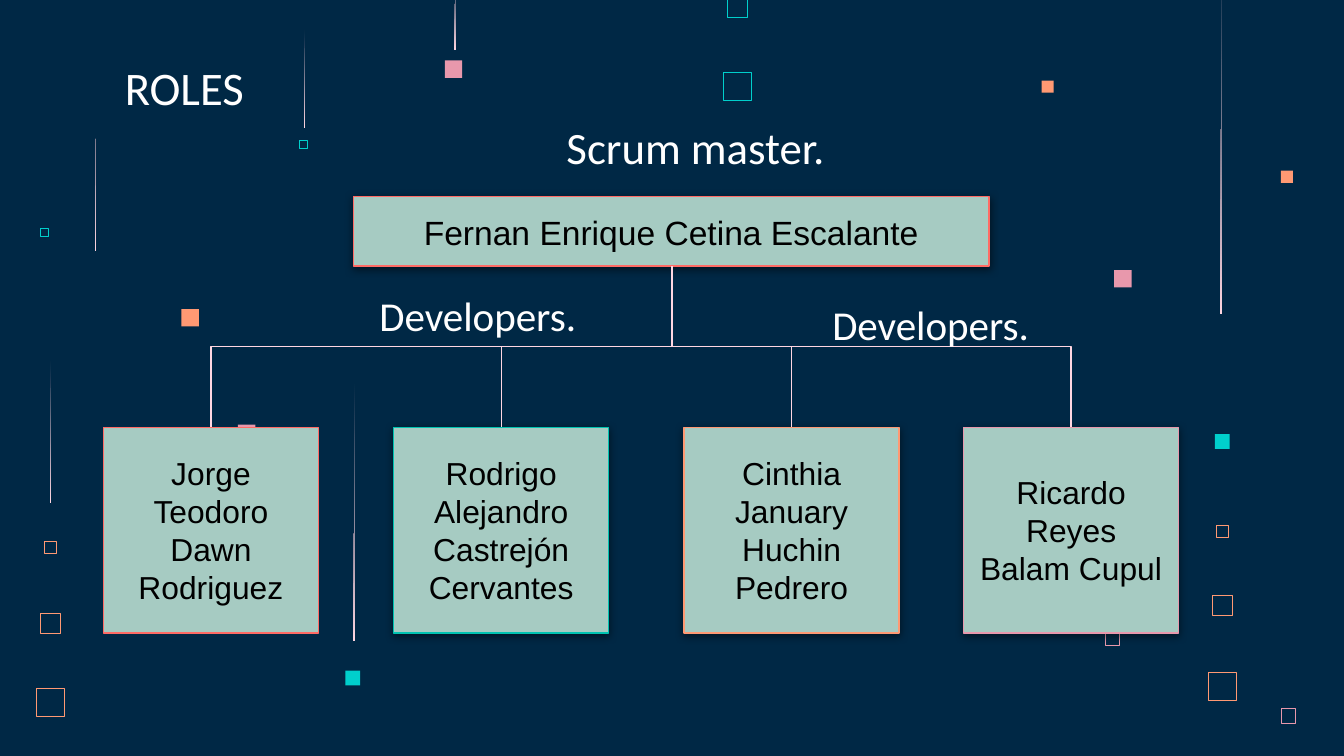
from lxml import etree
from pptx import Presentation
from pptx.dml.color import RGBColor
from pptx.enum.shapes import MSO_CONNECTOR, MSO_SHAPE
from pptx.enum.text import MSO_ANCHOR, MSO_AUTO_SIZE, PP_ALIGN
from pptx.oxml.ns import qn
from pptx.util import Inches, Pt

RECT = MSO_SHAPE.RECTANGLE
ELBOW = MSO_CONNECTOR.ELBOW
TOP, MIDDLE, BOTTOM = MSO_ANCHOR.TOP, MSO_ANCHOR.MIDDLE, MSO_ANCHOR.BOTTOM
LEFT, CENTER = PP_ALIGN.LEFT, PP_ALIGN.CENTER

COLORS = {
    "navy": "002845",
    "sage": "A6CBC2",
    "coral": "FF6B65",
    "green": "00C3B1",
    "orange": "FF9973",
    "pink": "E898AC",
    "cyan": "00CFCC",
    "blush": "FFD6E1",
    "white": "FFFFFF",
    "black": "000000",
}

SOLID_SQUARES = [
    (1.77, 3.16, 0.13, "pink"),
    (1.35, 2.3, 0.13, "orange"),
    (9.04, 3.23, 0.11, "cyan"),
    (9.53, 1.27, 0.09, "orange"),
    (8.29, 2.01, 0.13, "pink"),
    (7.75, 0.6, 0.09, "orange"),
    (3.31, 0.45, 0.13, "pink"),
    (2.57, 4.99, 0.11, "cyan"),
]
OUTLINED_SQUARES = [
    (9.53, 5.27, 0.11, "pink", 0.23),
    (0.3, 1.7, 0.06, "cyan", 0.23),
    (8.99, 5, 0.21, "orange", 0.45),
    (9.02, 4.43, 0.15, "orange", 0.32),
    (9.05, 3.91, 0.09, "orange", 0.2),
    (8.22, 4.69, 0.11, "pink", 0.23),
    (0.27, 5.12, 0.21, "orange", 0.45),
    (0.3, 4.56, 0.15, "orange", 0.32),
    (0.33, 4.03, 0.09, "orange", 0.2),
    (2.23, 1.04, 0.06, "cyan", 0.23),
    (5.38, 0.54, 0.21, "cyan", 0.45),
    (5.41, -0.02, 0.15, "cyan", 0.32),
]
TRAILS = [
    (0.37, 2.63, 1.11),
    (9.08, -0.42, 2.76),
    (0.71, 0.02, 1.85),
    (2.26, 0.19, 0.76),
    (3.38, -0.24, 0.61),
    (2.63, 2.81, 1.96),
]
DEVELOPERS = [
    (0.77, "Jorge Teodoro Dawn Rodriguez", "coral", False),
    (2.93, "Rodrigo Alejandro Castrejón Cervantes", "green", True),
    (5.09, "Cinthia January Huchin Pedrero", "orange", True),
    (7.17, "Ricardo Reyes Balam Cupul", "pink", True),
]
CARD_TOP, CARD_W, CARD_H = 3.18, 1.6, 1.53
STEM_X, STEM_TOP = 5, 1.98


def rgb(name):
    return RGBColor.from_string(COLORS[name])


def place(sp, left, top, width, height):
    sp.left, sp.top = Inches(left), Inches(top)
    sp.width, sp.height = Inches(width), Inches(height)


def add_rect(slide, left, top, width, height):
    sp = slide.shapes.add_shape(
        RECT, Inches(left), Inches(top), Inches(width), Inches(height))
    sp.shadow.inherit = False
    return sp


def add_square(slide, left, top, size, color, line=None):
    sp = add_rect(slide, left, top, size, size)
    if line:
        sp.fill.background()
        sp.line.color.rgb = rgb(color)
        sp.line.width = Pt(line)
    else:
        sp.fill.solid()
        sp.fill.fore_color.rgb = rgb(color)
        sp.line.fill.background()


def add_trail(slide, left, top, height):
    builder = slide.shapes.build_freeform(Inches(left + 0.01), Inches(top))
    bottom = Inches(top + height)
    builder.add_line_segments([(Inches(left), bottom), (Inches(left + 0.01), bottom)])
    sp = builder.convert_to_shape()
    sp.shadow.inherit = False
    sp.fill.gradient()
    sp.fill.gradient_angle = 270
    for stop, color, position in zip(sp.fill.gradient_stops, ("navy", "blush"), (0, 1)):
        stop.color.rgb = rgb(color)
        stop.position = position
    sp.line.fill.background()


def set_text(sp, text, font, size, color, align=CENTER, anchor=TOP):
    tf = sp.text_frame
    tf.text = text
    tf.word_wrap = True
    tf.auto_size = MSO_AUTO_SIZE.NONE
    tf.vertical_anchor = anchor
    tf.margin_left = tf.margin_right = Inches(0.1)
    tf.margin_top = tf.margin_bottom = Inches(0.1)
    p = tf.paragraphs[0]
    p.alignment = align
    p.space_before = Pt(0)
    r = p.runs[0]
    r.font.name = font
    r.font.size = Pt(size)
    r.font.color.rgb = rgb(color)


def add_label(slide, text, left, top, width, height, size, align=CENTER):
    sp = slide.shapes.add_textbox(
        Inches(left), Inches(top), Inches(width), Inches(height))
    set_text(sp, text, "Calibri", size, "white", align)


def add_shadow(sp):
    sp.shadow.inherit = False
    effects = sp._element.spPr.find(qn("a:effectLst"))
    shadow = etree.SubElement(
        effects, qn("a:outerShdw"), blurRad=str(Pt(4.5)), dist=str(Pt(1.5)),
        dir="5400000", algn="bl", rotWithShape="0")
    color = etree.SubElement(shadow, qn("a:srgbClr"), val=COLORS["black"])
    etree.SubElement(color, qn("a:alpha"), val="50000")


def style_card(sp, text, size, border, anchor, shadow=True):
    sp.fill.solid()
    sp.fill.fore_color.rgb = rgb("sage")
    sp.line.color.rgb = rgb(border)
    sp.line.width = Pt(0.75)
    if shadow:
        add_shadow(sp)
    set_text(sp, text, "Arial", size, "black", anchor=anchor)


def add_branch(slide, x):
    run, drop = x - STEM_X, CARD_TOP - STEM_TOP
    mid_x, mid_y = STEM_X + run / 2, STEM_TOP + drop / 2
    side = 1 if run > 0 else -1
    cxn = slide.shapes.add_connector(
        ELBOW,
        Inches(mid_x + side * drop / 2), Inches(mid_y - abs(run) / 2),
        Inches(mid_x - side * drop / 2), Inches(mid_y + abs(run) / 2))
    degrees = 270 if run > 0 else 90
    spPr = cxn._element.spPr
    spPr.find(qn("a:xfrm")).set("rot", str(degrees * 60000))
    cxn.line.color.rgb = rgb("blush")
    cxn.line.width = Pt(0.75)
    etree.SubElement(spPr, qn("a:effectLst"))


def main():
    prs = Presentation()
    prs.slide_width = Inches(10)
    prs.slide_height = prs.slide_width * 9 // 16
    slide = prs.slides.add_slide(prs.slide_layouts[0])
    slide.background.fill.solid()
    slide.background.fill.fore_color.rgb = rgb("navy")

    for square in SOLID_SQUARES + OUTLINED_SQUARES:
        add_square(slide, *square)
    for trail in TRAILS:
        add_trail(slide, *trail)

    title, master = slide.placeholders
    place(title, 3.18, 0.79, 3.99, 0.6)
    set_text(title, "Scrum master.", "Calibri", 24, "white")
    place(master, 2.63, 1.46, 4.73, 0.52)
    style_card(master, "Fernan Enrique Cetina Escalante", 18, "coral", BOTTOM)

    for left, name, border, shadow in DEVELOPERS:
        card = add_rect(slide, left, CARD_TOP, CARD_W, CARD_H)
        style_card(card, name, 17, border, MIDDLE, shadow)
        add_branch(slide, left + CARD_W / 2)

    add_label(slide, "Developers.", 5.75, 2.13, 2.35, 0.45, 22)
    add_label(slide, "Developers.", 2.38, 2.06, 2.35, 0.45, 22)
    add_label(slide, "ROLES", 0.83, 0.34, 3.99, 0.67, 25, LEFT)
    prs.save("out.pptx")


if __name__ == "__main__":
    main()
